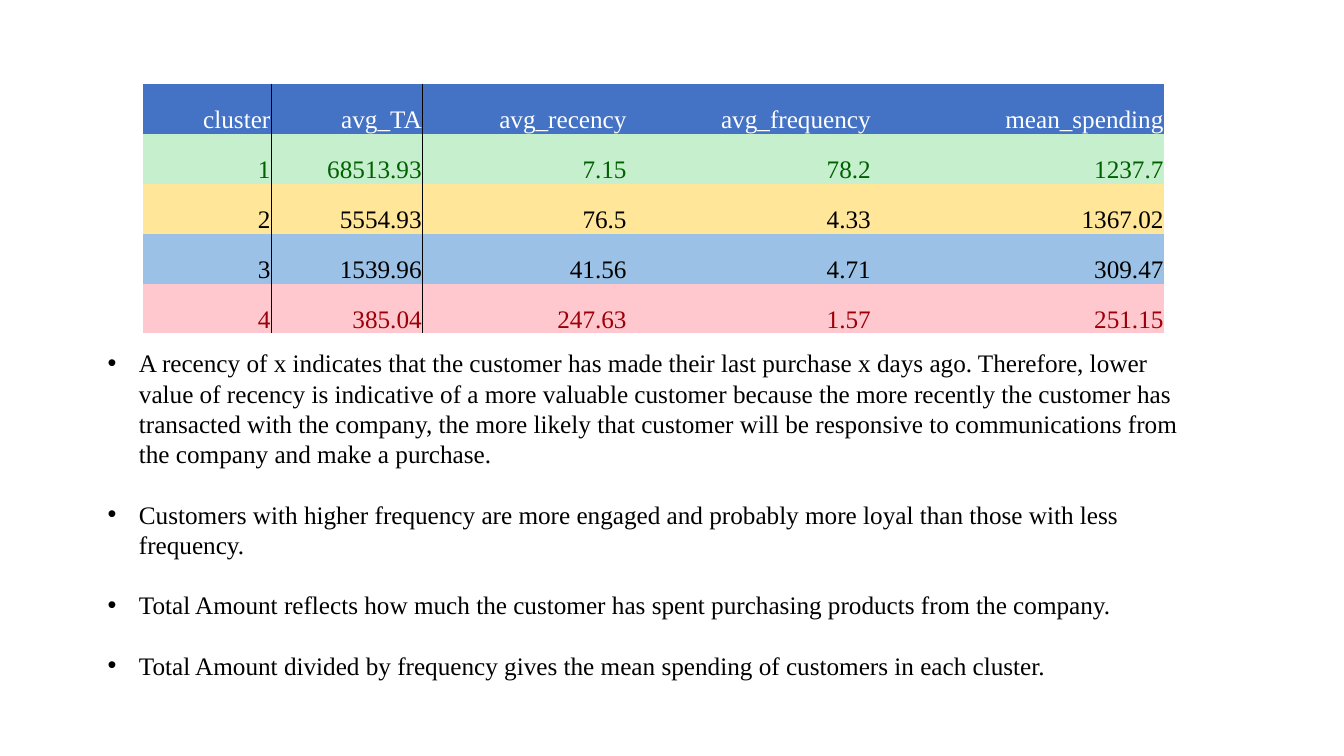
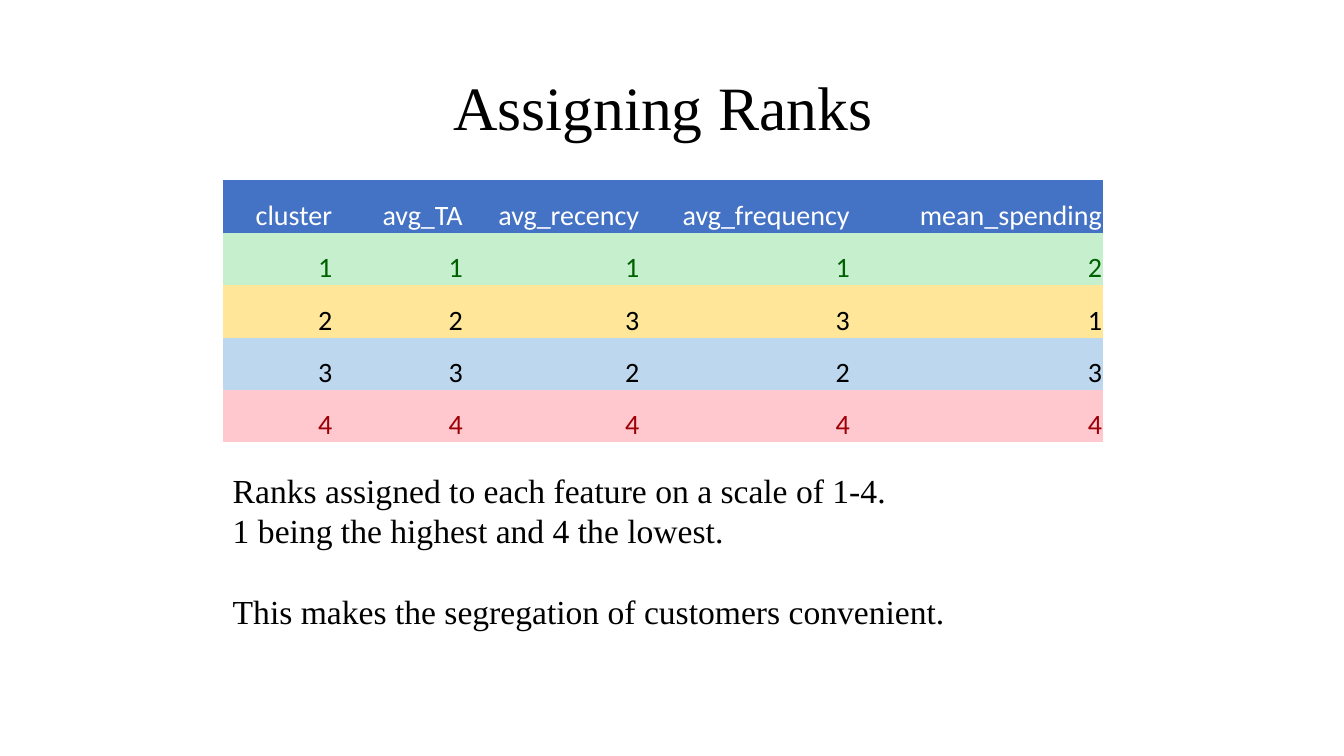
"""Build two slides on customer clusters: average measures and assigned ranks."""
from pptx import Presentation
from pptx.dml.color import RGBColor
from pptx.enum.text import MSO_ANCHOR, PP_ALIGN
from pptx.oxml import parse_xml
from pptx.oxml.ns import nsdecls, qn
from pptx.util import Emu, Inches, Pt

TOP, BOTTOM = MSO_ANCHOR.TOP, MSO_ANCHOR.BOTTOM
LEFT, CENTER, RIGHT = PP_ALIGN.LEFT, PP_ALIGN.CENTER, PP_ALIGN.RIGHT
SERIF, SANS = "Times New Roman", "Calibri"
LINE_PITCH = 1.2
BULLET_INDENT = Inches(0.31)
NO_STYLE = "{2D5ABB26-0587-4C30-8999-92F81FD0307C}"

COLORS = {
    "black": "000000", "white": "FFFFFF", "header": "4472C4",
    "green": "C6EFCE", "green_ink": "006100", "yellow": "FFE699",
    "blue": "9BC2E6", "pale_blue": "BDD7EE",
    "red": "FFC7CE", "red_ink": "9C0006",
}
ROW_INKS = ["white", "green_ink", "black", "black", "red_ink"]
HEADINGS = ["cluster", "avg_TA", "avg_recency", "avg_frequency", "mean_spending"]
COLUMN_SHARES = [0.1255, 0.1482, 0.2006, 0.2391, 0.2866]
CELL_FORMAT = {
    "vertical_anchor": BOTTOM, "margin_left": Inches(0.01),
    "margin_right": Inches(0.01), "margin_top": Inches(0.01), "margin_bottom": 0,
}
TABLE_FLAGS = {"first_row": False, "horz_banding": False}

deck = Presentation()
deck.slide_width, deck.slide_height = Inches(13.33), Inches(7.5)
blank = deck.slide_layouts[6]


def add_text(slide, box, paragraphs, size, align=LEFT, anchor=TOP, gaps=(), bullet=False):
    frame = slide.shapes.add_textbox(*map(Inches, box)).text_frame
    for name, value in {"word_wrap": True, "vertical_anchor": anchor}.items():
        setattr(frame, name, value)
    for index, words in enumerate(paragraphs):
        paragraph = frame.paragraphs[0] if index == 0 else frame.add_paragraph()
        paragraph.text = words
        pitch = Pt(size * LINE_PITCH)
        layout = {"alignment": align, "line_spacing": pitch,
                  "space_before": pitch if index in gaps else 0}
        for name, value in layout.items():
            setattr(paragraph, name, value)
        font = paragraph.runs[0].font
        font.name, font.size = SERIF, Pt(size)
        font.color.rgb = RGBColor.from_string(COLORS["black"])
        if bullet:
            properties = paragraph._p.get_or_add_pPr()
            properties.set("marL", str(BULLET_INDENT))
            properties.set("indent", str(-BULLET_INDENT))
            for mark in ('buFont %s typeface="Arial"', 'buChar %s char="\u2022"'):
                properties.append(parse_xml(f"<a:{mark % nsdecls('a')}/>"))


def add_cluster_table(slide, box, records, fills, font_name, size):
    left, top, width, height = map(Inches, box)
    rows = [HEADINGS, *records]
    holder = slide.shapes.add_table(len(rows), len(HEADINGS), left, top, width, height)
    table = holder.table
    for name, value in TABLE_FLAGS.items():
        setattr(table, name, value)
    for style in holder.element.iter(qn("a:tableStyleId")):
        style.text = NO_STYLE
    for column, share in zip(table.columns, COLUMN_SHARES):
        column.width = Emu(int(width * share))
    for row, values, fill, ink in zip(table.rows, rows, fills, ROW_INKS):
        for cell, value in zip(row.cells, values):
            cell.text = value
            for name, setting in CELL_FORMAT.items():
                setattr(cell, name, setting)
            cell.fill.solid()
            cell.fill.fore_color.rgb = RGBColor.from_string(COLORS[fill])
            paragraph = cell.text_frame.paragraphs[0]
            paragraph.alignment = RIGHT
            font = paragraph.runs[0].font
            font.name, font.size = font_name, Pt(size)
            font.color.rgb = RGBColor.from_string(COLORS[ink])
    return holder


averages_slide = deck.slides.add_slide(blank)
add_text(averages_slide, (0.97, 3.4, 10.9, 3.43), [
    "A recency of x indicates that the customer has made their last purchase x days ago. "
    "Therefore, lower value of recency is indicative of a more valuable customer because "
    "the more recently the customer has transacted with the company, the more likely that "
    "customer will be responsive to communications from the company and make a purchase.",
    "Customers with higher frequency are more engaged and probably more loyal than those "
    "with less frequency.",
    "Total Amount reflects how much the customer has spent purchasing products from the company.",
    "Total Amount divided by frequency gives the mean spending of customers in each cluster.",
], 18, gaps=(1, 2, 3), bullet=True)
averages = add_cluster_table(averages_slide, (1.42, 0.83, 10.13, 2.48), [
    ["1", "68513.93", "7.15", "78.2", "1237.7"],
    ["2", "5554.93", "76.5", "4.33", "1367.02"],
    ["3", "1539.96", "41.56", "4.71", "309.47"],
    ["4", "385.04", "247.63", "1.57", "251.15"],
], ["header", "green", "yellow", "blue", "red"], SERIF, 18)
for table_row in averages.element.iter(qn("a:tr")):
    for side, cell_properties in zip("RL", table_row.iter(qn("a:tcPr"))):
        cell_properties.insert(0, parse_xml(
            f'<a:ln{side} {nsdecls("a")} w="{Pt(0.5)}"><a:solidFill>'
            f'<a:srgbClr val="{COLORS["black"]}"/></a:solidFill></a:ln{side}>'))

ranks_slide = deck.slides.add_slide(blank)
add_text(ranks_slide, (2.21, 4.61, 8.65, 2.12), [
    "Ranks assigned to each feature on a scale of 1-4.",
    "1 being the highest and 4 the lowest.",
    "This makes the segregation of customers convenient.",
], 24, gaps=(2,))
add_cluster_table(ranks_slide, (2.21, 1.79, 8.73, 2.6), [
    ["1", "1", "1", "1", "2"],
    ["2", "2", "3", "3", "1"],
    ["3", "3", "2", "2", "3"],
    ["4", "4", "4", "4", "4"],
], ["header", "green", "yellow", "pale_blue", "red"], SANS, 20)
add_text(ranks_slide, (2.21, 0.33, 8.73, 1.14), ["Assigning Ranks"], 44, CENTER, BOTTOM)

deck.save("out.pptx")
